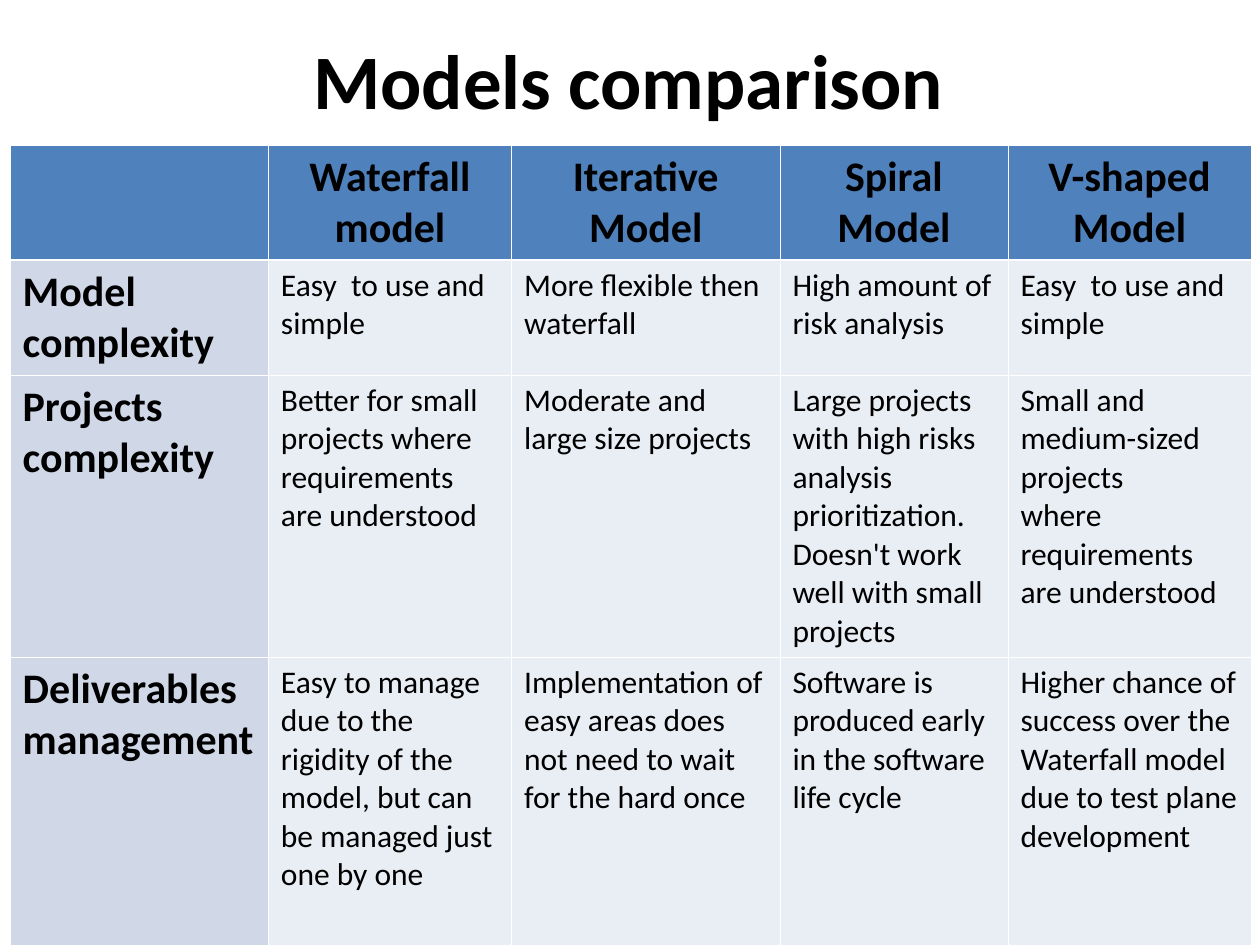
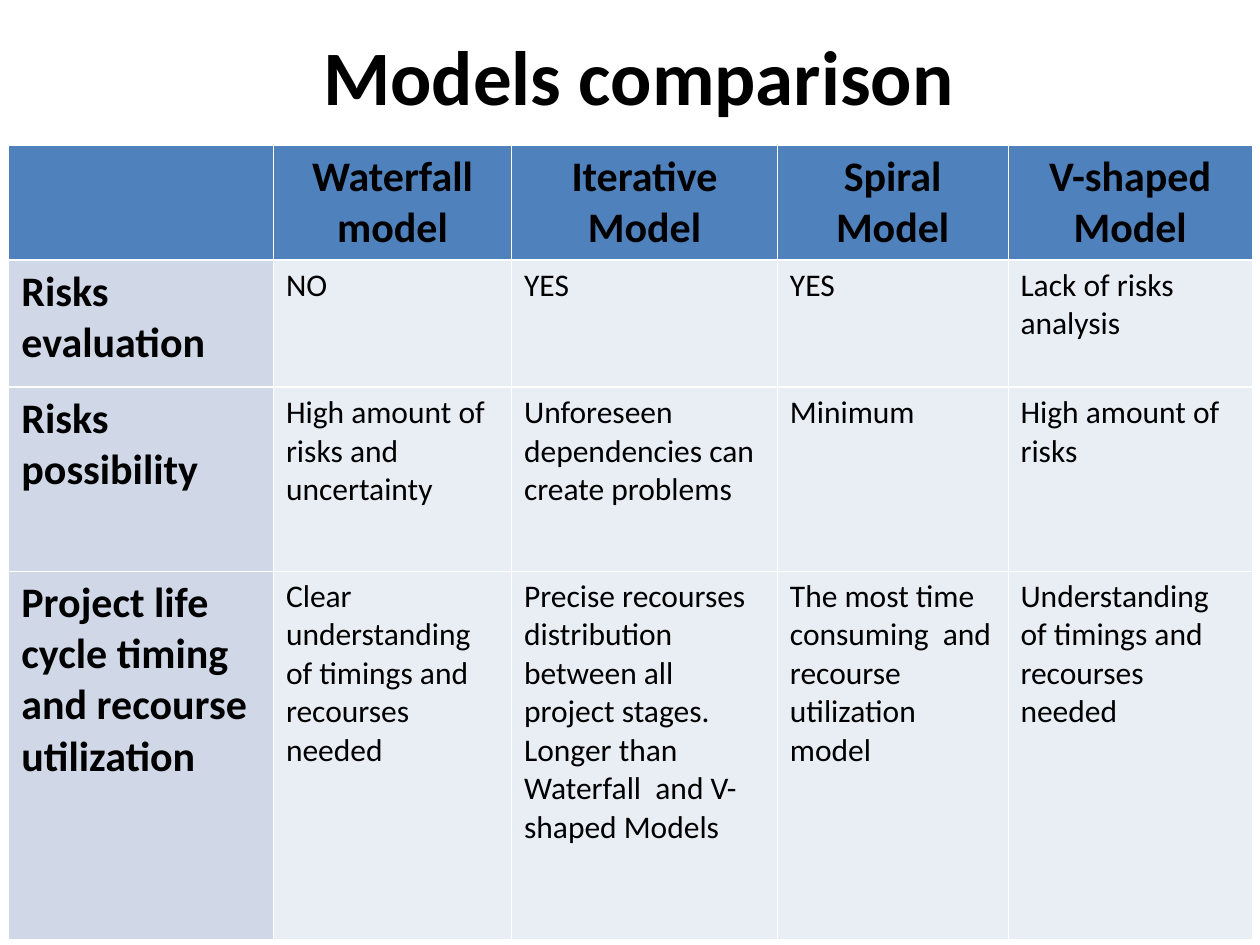
from dataclasses import dataclass

from lxml.etree import SubElement
from pptx import Presentation
from pptx.dml.color import RGBColor
from pptx.enum.text import MSO_ANCHOR, PP_ALIGN as Align
from pptx.oxml.ns import qn
from pptx.util import Emu, Pt

EMU_PER_PX = 9144  # 100 px to the inch
PAGE_WIDTH, PAGE_HEIGHT = 1000, 750
FONT = "Calibri"
BLACK, WHITE = "000000", "FFFFFF"
HEADER_FILL, LABEL_FILL, BODY_FILL = "4F81BD", "D0D8E8", "E9EDF4"
TITLE_SIZE, HEADING_SIZE, BODY_SIZE = 44, 24, 18
THIN, THICK = 0.45, 1.47
TITLE = "Models comparison"
TITLE_WIDTH, TITLE_HEIGHT = 900, 125
TABLE_TOP = 115
MODELS = ["", "Waterfall model", "Iterative Model", "Spiral Model", "V-shaped Model"]


@dataclass
class Comparison:
    title_left: int
    title_top: int
    table_left: int
    column_widths: list[int]
    row_heights: list[int]
    criteria: list[list[str]]
    thick_rules: set[int]  # numbers of the rows that have a thick line below


COMPARISONS = [
    Comparison(
        title_left=49, title_top=0, table_left=8,
        column_widths=[205, 193, 213, 181, 193],
        row_heights=[90, 90, 220, 229],
        criteria=[
            ["Model complexity", "Easy  to use and simple",
             "More flexible then waterfall", "High amount of risk analysis",
             "Easy  to use and simple"],
            ["Projects complexity",
             "Better for small projects where requirements are understood",
             "Moderate and large size projects",
             "Large projects with high risks analysis prioritization. "
             "Doesn't work well with small projects",
             "Small and medium-sized  projects\nwhere requirements are understood"],
            ["Deliverables management",
             "Easy to manage due to the rigidity of the model, "
             "but can be managed just one by one",
             "Implementation of easy areas does not need to wait for the hard once",
             "Software is produced early in the software life cycle",
             "Higher chance of success over the Waterfall model "
             "due to test plane development"],
        ],
        thick_rules={0},
    ),
    Comparison(
        title_left=57, title_top=-3, table_left=7,
        column_widths=[210, 189, 211, 183, 194],
        row_heights=[90, 101, 146, 292],
        criteria=[
            ["Risks evaluation", "NO", "YES", "YES", "Lack of risks analysis"],
            ["Risks possibility", "High amount of risks and uncertainty",
             "Unforeseen dependencies can create problems", "Minimum",
             "High amount of risks"],
            ["Project life cycle timing and recourse utilization",
             "Clear understanding of timings and recourses  needed",
             "Precise recourses  distribution between all project stages.  "
             "Longer than Waterfall  and V-shaped Models",
             "The most time consuming  and recourse utilization model",
             "Understanding of timings and recourses  needed"],
        ],
        thick_rules={0, 1},
    ),
]


def px(length: int) -> Emu:
    return Emu(length * EMU_PER_PX)


def color(value: str) -> RGBColor:
    return RGBColor.from_string(value)


def write(frame, text: str, size: int, bold: bool, align: Align) -> None:
    """Fill a text frame, one paragraph for each line of the text."""
    for number, line in enumerate(text.split("\n")):
        para = frame.add_paragraph() if number else frame.paragraphs[0]
        para.alignment = align
        span = para.add_run()
        span.text = line
        span.font.name = FONT
        span.font.size = Pt(size)
        span.font.bold = bold
        span.font.color.rgb = color(BLACK)


def set_borders(cell, top: float, bottom: float) -> None:
    properties = cell._tc.get_or_add_tcPr()
    for side, width in (("L", THIN), ("R", THIN), ("T", top), ("B", bottom)):
        line = SubElement(properties, qn(f"a:ln{side}"), w=str(Pt(width)))
        fill = SubElement(line, qn("a:solidFill"))
        SubElement(fill, qn("a:srgbClr"), val=WHITE)


def add_title(page, comparison: Comparison) -> None:
    title = page.shapes.title
    title.left, title.top = px(comparison.title_left), px(comparison.title_top)
    title.width, title.height = px(TITLE_WIDTH), px(TITLE_HEIGHT)
    title.text_frame.vertical_anchor = MSO_ANCHOR.MIDDLE
    write(title.text_frame, TITLE, TITLE_SIZE, True, Align.CENTER)


def add_comparison_table(page, comparison: Comparison) -> None:
    widths, heights = comparison.column_widths, comparison.row_heights
    table = page.shapes.add_table(
        len(heights), len(widths), px(comparison.table_left), px(TABLE_TOP),
        px(sum(widths)), px(sum(heights))).table
    table.first_row = table.horz_banding = False
    for column, width in zip(table.columns, widths):
        column.width = px(width)
    for row, height in zip(table.rows, heights):
        row.height = px(height)

    rules = [THICK if row in comparison.thick_rules else THIN
             for row in range(len(heights))]
    for row, texts in enumerate([MODELS, *comparison.criteria]):
        for column, text in enumerate(texts):
            cell = table.cell(row, column)
            set_borders(cell, rules[row - 1] if row else THIN, rules[row])
            is_header, is_label = row == 0, column == 0
            heading = is_header or is_label
            cell.fill.solid()
            cell.fill.fore_color.rgb = color(
                HEADER_FILL if is_header else LABEL_FILL if is_label else BODY_FILL)
            if text:
                write(cell.text_frame, text, HEADING_SIZE if heading else BODY_SIZE,
                      heading, Align.CENTER if is_header else Align.LEFT)


def main() -> None:
    deck = Presentation()
    deck.slide_width, deck.slide_height = px(PAGE_WIDTH), px(PAGE_HEIGHT)
    title_only = deck.slide_layouts.get_by_name("Title Only")
    for comparison in COMPARISONS:
        page = deck.slides.add_slide(title_only)
        add_title(page, comparison)
        add_comparison_table(page, comparison)
    deck.save("out.pptx")


if __name__ == "__main__":
    main()
